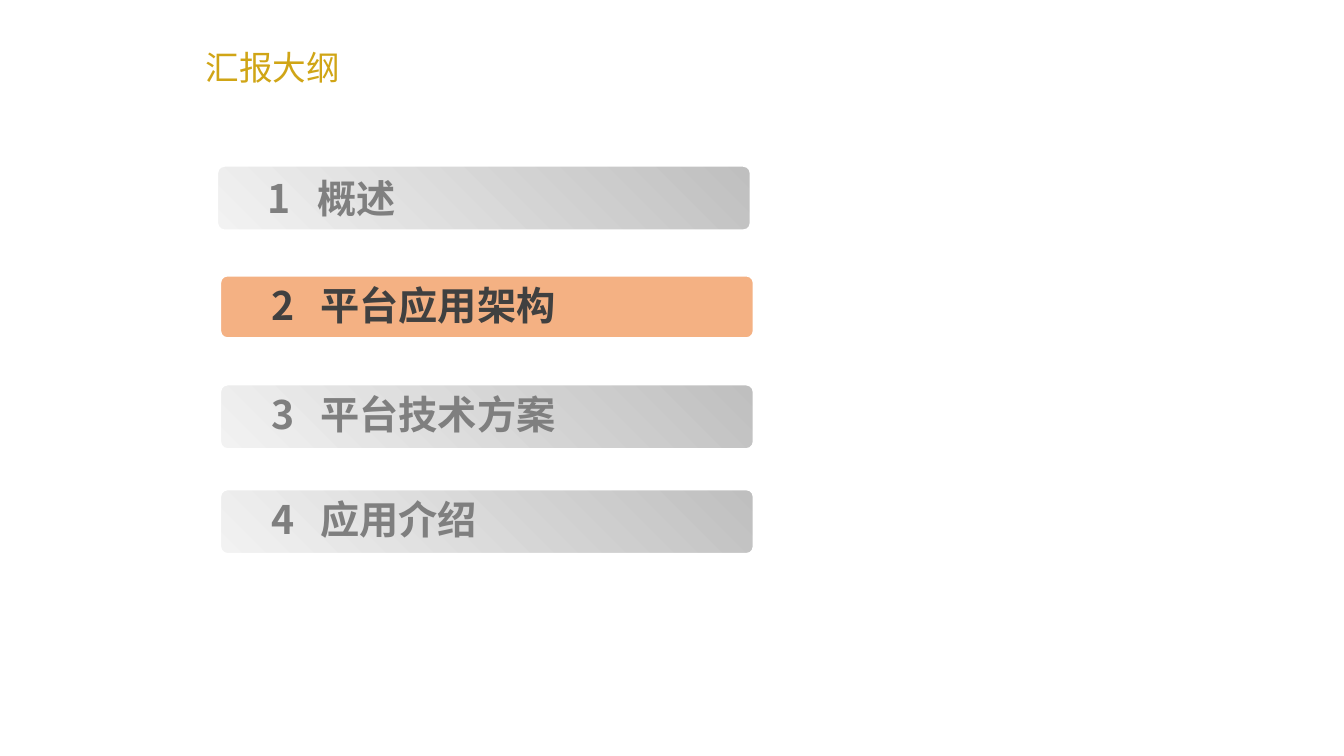
from pptx import Presentation
from pptx.dml.color import RGBColor
from pptx.enum.shapes import MSO_SHAPE
from pptx.enum.text import MSO_ANCHOR, MSO_AUTO_SIZE, PP_ALIGN
from pptx.oxml.ns import qn
from pptx.util import Inches, Pt
from lxml import etree

ROUNDED = MSO_SHAPE.ROUNDED_RECTANGLE
MIDDLE = MSO_ANCHOR.MIDDLE
LEFT = PP_ALIGN.LEFT
GROW = MSO_AUTO_SIZE.SHAPE_TO_FIT_TEXT
NO_FIT = MSO_AUTO_SIZE.NONE

FONT = "Noto Sans CJK SC"
GOLD = RGBColor(0xD0, 0xA5, 0x16)
ORANGE = RGBColor(0xF4, 0xB1, 0x83)
LIGHT = RGBColor(0xF2, 0xF2, 0xF2)
SILVER = RGBColor(0xBF, 0xBF, 0xBF)
GRAY = RGBColor(0x7F, 0x7F, 0x7F)
DARK = RGBColor(0x40, 0x40, 0x40)
WHITE = RGBColor(0xFF, 0xFF, 0xFF)

NUMBER_WIDTH = 0.49
AGENDA = [
    ("1", "概述", (2.15, 1.64, 5.3, 0.65), 0.04, False),
    ("2", "平台应用架构", (2.18, 2.73, 5.3, 0.63), 0.01, True),
    ("3", "平台技术方案", (2.18, 3.81, 5.3, 0.65), 0.01, False),
    ("4", "应用介绍", (2.18, 4.85, 5.3, 0.65), 0.01, False),
]


def format_runs(p, size, color, bold):
    for r in p.runs:
        r.font.size = Pt(size)
        r.font.bold = bold
        r.font.color.rgb = color
        r.font.name = FONT
        ea = etree.SubElement(r.font._element, qn("a:ea"))
        ea.set("typeface", FONT)


def add_title(s, text, box):
    sp = s.shapes.title
    sp.left, sp.top, sp.width, sp.height = map(Inches, box)
    tf = sp.text_frame
    tf.text = text
    tf.word_wrap = True
    tf.auto_size = NO_FIT
    tf.vertical_anchor = MIDDLE
    p = tf.paragraphs[0]
    p.alignment = LEFT
    p.line_spacing = 1.5
    p.space_before = Pt(4.8)
    format_runs(p, 24, GOLD, False)


def add_agenda_bar(s, number, text, box, drop, current):
    left, top, width, height = box
    bar = s.shapes.add_shape(ROUNDED, *map(Inches, box))
    bar.shadow.inherit = False
    bar.adjustments[0] = 0.119
    bar.line.color.rgb = WHITE
    bar.line.width = Pt(2)
    if current:
        bar.fill.solid()
        bar.fill.fore_color.rgb = ORANGE
    else:
        bar.fill.gradient()
        bar.fill.gradient_angle = 45
        for stop, color in zip(bar.fill.gradient_stops, (LIGHT, SILVER)):
            stop.color.rgb = color

    label = s.shapes.add_textbox(Inches(left + 0.41), Inches(top + drop),
                                 Inches(width - 0.83), Inches(0.57))
    tf = label.text_frame
    tf.word_wrap = True
    tf.auto_size = GROW
    p = tf.paragraphs[0]
    p.text = f"{number}\t{text}"
    tabs = etree.SubElement(p._p.get_or_add_pPr(), qn("a:tabLst"))
    etree.SubElement(tabs, qn("a:tab"), pos=str(Inches(NUMBER_WIDTH)), algn="l")
    format_runs(p, 28, DARK if current else GRAY, True)


prs = Presentation()
prs.slide_width = Inches(13.33)
prs.slide_height = Inches(7.5)
s = prs.slides.add_slide(prs.slide_layouts[5])
add_title(s, "汇报大纲", (1.94, 0.13, 6.93, 0.87))
for item in AGENDA:
    add_agenda_bar(s, *item)
prs.save("out.pptx")
